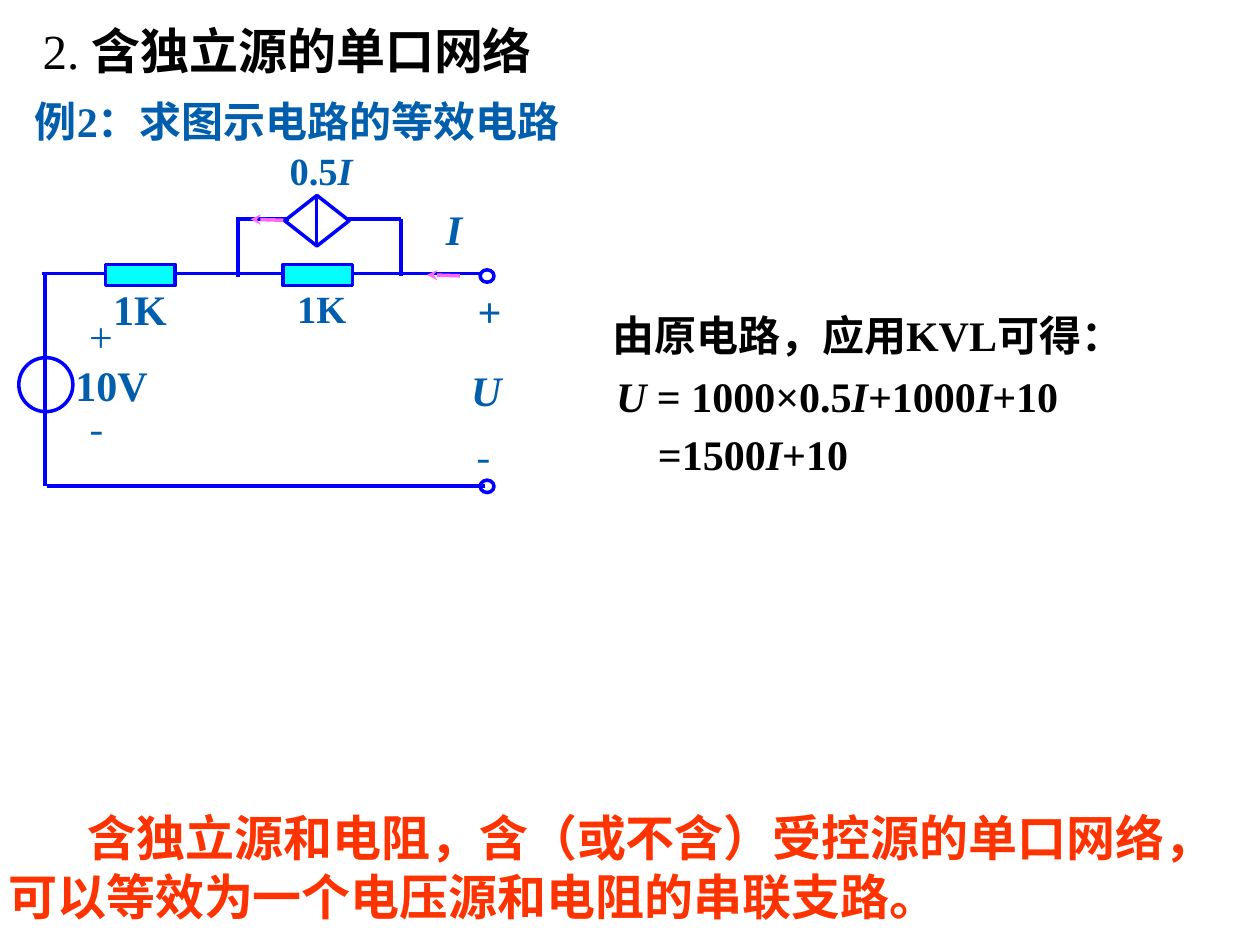
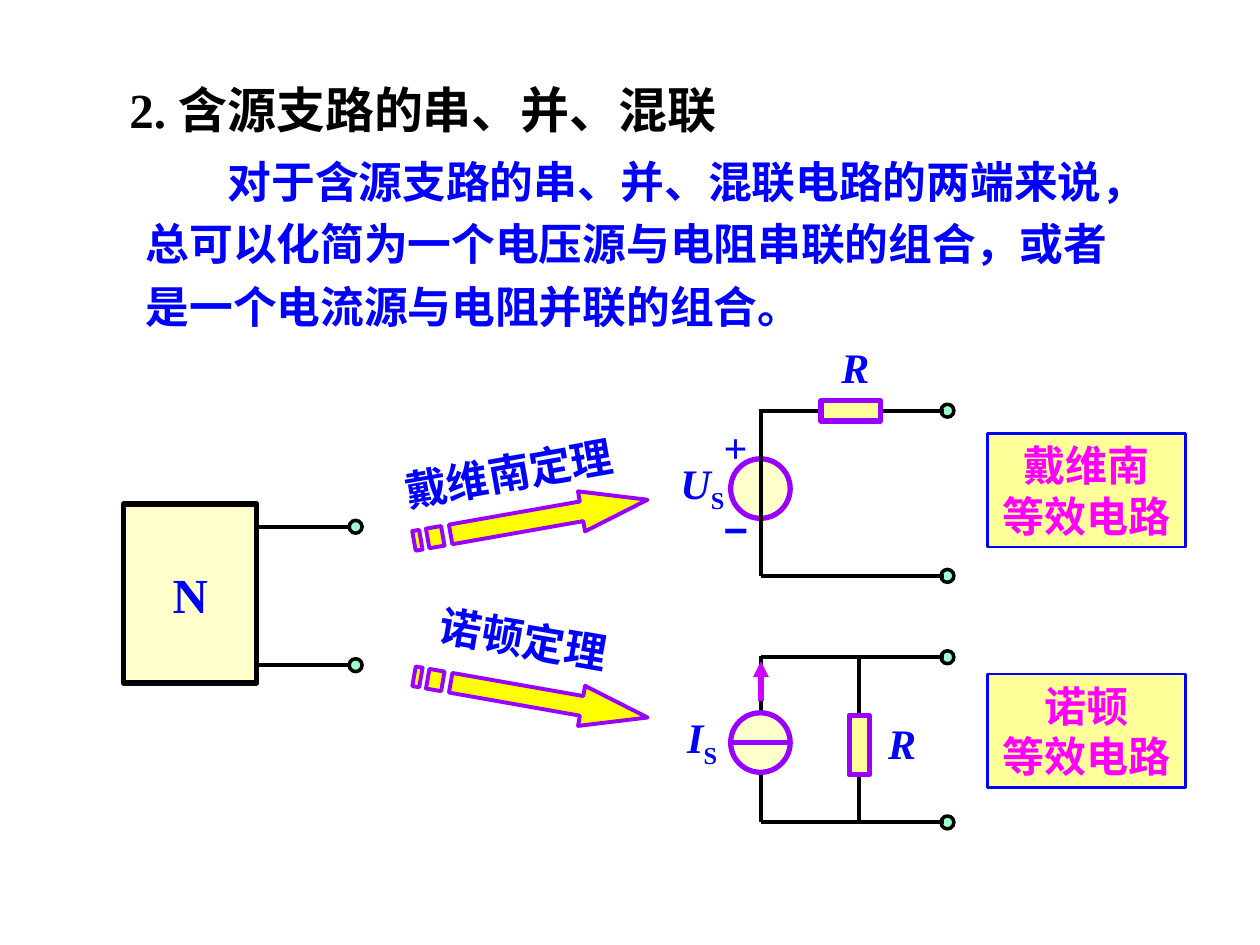
import dataclasses
import typing

import pptx
import pptx.dml.color
import pptx.enum.shapes
import pptx.enum.text
import pptx.oxml
import pptx.oxml.ns
import pptx.util

Cm = pptx.util.Cm
Pt = pptx.util.Pt
Shape = pptx.enum.shapes.MSO_SHAPE
Align = pptx.enum.text.PP_ALIGN
Anchor = pptx.enum.text.MSO_ANCHOR

BLACK, BLUE, TEAL, RED = "000000", "0000FF", "005EAC", "FF3300"
PURPLE, MAGENTA, PINK, VIOLET = "9900FF", "FF00FF", "FF66FF", "CC00FF"
CYAN, CREAM, LEMON, YELLOW, MINT = "00FFFF", "FFFFCC", "FFFF99", "FFFF00", "99FFCC"

LATIN, CHINESE = "Times New Roman", "Noto Sans CJK SC"
BASE = {"size": 24, "bold": True, "italic": False, "name": LATIN}
ITALIC = {"italic": True}
PLAIN = {"bold": False}
SUBSCRIPT = {"baseline": -25000}
WIDE_INSET, TIGHT_INSET = (0.25, 0.13), (0.05, 0.1)


@dataclasses.dataclass
class Region:
    """Origin, in centimetres, of a part of a slide."""

    shapes: typing.Any
    left: float
    top: float

    def point(self, x, y):
        """Return the slide position of a point of the region."""
        return Cm(self.left + x), Cm(self.top + y)


def rgb(code):
    """Turn a hex string into a colour."""
    return pptx.dml.color.RGBColor.from_string(code)


def add_xml(parent, tag, **attributes):
    """Append an empty DrawingML element."""
    child = pptx.oxml.parse_xml(f"<a:{tag} {pptx.oxml.ns.nsdecls('a')}/>")
    for key, value in attributes.items():
        child.set(key, value)
    parent.append(child)


def write(frame, paragraphs, color, align=Align.LEFT, wrap=True, inset=WIDE_INSET,
          anchor=Anchor.TOP, spacing=None, indent=0, **style):
    """Fill a text frame with paragraphs made of (text, overrides) runs."""
    across, down = (Cm(length) for length in inset)
    layout = {"word_wrap": wrap, "auto_size": pptx.enum.text.MSO_AUTO_SIZE.NONE,
              "vertical_anchor": anchor, "margin_left": across, "margin_right": across,
              "margin_top": down, "margin_bottom": down}
    for key, value in layout.items():
        setattr(frame, key, value)
    for index, runs in enumerate(paragraphs):
        paragraph = frame.add_paragraph() if index else frame.paragraphs[0]
        paragraph.alignment = align
        if spacing:
            paragraph.line_spacing = spacing
        if indent and not index:
            paragraph._p.get_or_add_pPr().set("indent", str(Cm(indent)))
        for words, changes in runs:
            run = paragraph.add_run()
            run.text = words
            looks = {**BASE, **style, **changes}
            baseline = looks.pop("baseline", None)
            looks["size"] = Pt(looks["size"])
            for key, value in looks.items():
                setattr(run.font, key, value)
            run.font.color.rgb = rgb(color)
            properties = run._r.get_or_add_rPr()
            add_xml(properties, "ea", typeface=CHINESE)
            if baseline:
                properties.set("baseline", str(baseline))


def text(region, x, y, width, height, paragraphs, color, rotation=0, **style):
    """Place a text box in a region."""
    box = region.shapes.add_textbox(*region.point(x, y), Cm(width), Cm(height))
    box.rotation = rotation
    write(box.text_frame, paragraphs, color, **style)


def paint(shape, fill, color, weight):
    """Give a shape its fill and outline."""
    shape.shadow.inherit = False
    if fill:
        shape.fill.solid()
        shape.fill.fore_color.rgb = rgb(fill)
    else:
        shape.fill.background()
    shape.line.color.rgb = rgb(color)
    shape.line.width = Pt(weight)
    return shape


def part(region, kind, x, y, width, height, fill, color, weight):
    """Place a preset shape in a region."""
    shape = region.shapes.add_shape(kind, *region.point(x, y), Cm(width), Cm(height))
    return paint(shape, fill, color, weight)


def wire(region, x1, y1, x2, y2, color=BLACK, weight=2.25, head=None):
    """Draw a straight wire, or an arrow when a head is named."""
    line = region.shapes.add_connector(pptx.enum.shapes.MSO_CONNECTOR.STRAIGHT,
                                       *region.point(x1, y1), *region.point(x2, y2))
    line.line.color.rgb = rgb(color)
    line.line.width = Pt(weight)
    if head:
        add_xml(line.line._get_or_add_ln(), "tailEnd", type=head)
    add_xml(line._element.spPr, "effectLst")


def terminal(region, x, y):
    """Draw an open terminal centred on the height of its wire."""
    part(region, Shape.OVAL, x, y - 0.13, 0.26, 0.26, MINT, BLACK, 2)


def set_title(slide, left, top, width, runs):
    """Move the title placeholder and write the heading in it."""
    title = slide.shapes.title
    place = {"left": left, "top": top, "width": width, "height": 1.45}
    for key, value in place.items():
        setattr(title, key, Cm(value))
    write(title.text_frame, [runs], BLACK, size=28)


def dependent_source_circuit(region):
    """Draw the one-port with a 10V source and a 0.5I controlled source."""
    top, bottom, branch = 2.64, 6.93, 1.55
    wires = [(0.46, top, 9.3, top), (0.56, bottom, 9.4, bottom), (0.53, top, 0.53, bottom),
             (4.42, branch, 4.42, 2.72), (5.44, branch, 4.37, branch),
             (7.7, branch, 6.63, branch), (6, 1.07, 6, 2.08), (7.7, branch, 7.7, 2.69)]
    for ends in wires:
        wire(region, *ends, BLUE, 2)
    for x in (1.75, 5.33):
        part(region, Shape.RECTANGLE, x, 2.46, 1.4, 0.43, CYAN, BLUE, 2)
    for y in (2.57, 6.81):
        part(region, Shape.OVAL, 9.3, y, 0.28, 0.25, None, BLUE, 2)
    part(region, Shape.OVAL, 0, 4.34, 1.09, 1.09, None, BLUE, 2)
    part(region, Shape.FLOWCHART_DECISION, 5.36, 1.07, 1.3, 1.02, None, BLUE, 2)
    for x, y in ((4.67, branch), (8.23, 2.67)):
        wire(region, x + 0.66, y + 0.02, x, y, PINK, 2, "stealth")
    minus = {"name": CHINESE, "bold": False}
    labels = [(5.41, 0, [("0.5", {"size": 22}), ("I", {"size": 22, **ITALIC})]),
              (1.85, 2.75, [("1K", {})]), (5.56, 2.77, [("1K", {"size": 22})]),
              (9.2, 2.79, [("+", {})]), (9.07, 4.37, [("U", ITALIC)]),
              (9.17, 5.72, [("-", minus)]), (1.37, 5.16, [("-", minus)]),
              (1.09, 4.27, [("10V", {})]), (1.37, 3.3, [("+", PLAIN)]),
              (8.56, 1.14, [("I", ITALIC)])]
    for x, y, runs in labels:
        text(region, x, y, 1.75, 1.2, [runs], TEAL, wrap=False, inset=TIGHT_INSET)


def kvl_derivation(region):
    """Write the KVL equation and its simplified form."""
    current = ("I", ITALIC)
    text(region, 0, 0, 11.2, 1.27, [[("由原电路，应用KVL可得：", {})]], BLACK,
         wrap=False, align=Align.CENTER)
    text(region, 0.28, 1.24, 10.16, 1.27,
         [[("U ", ITALIC), ("= 1000×0.5", {}), current, ("+1000", {}), current, ("+10", {})]],
         BLACK)
    text(region, 1.12, 2.41, 4.34, 1.27, [[("=1500", {}), current, ("+10", {})]], BLACK,
         wrap=False, align=Align.CENTER)


def example_slide(slide):
    """Build the worked example of a one-port with an independent source."""
    set_title(slide, 0.61, 0.28, 11.05, [("2. ", PLAIN), ("含独立源的单口网络", {})])
    page = Region(slide.shapes, 0, 0)
    text(page, -0.1, 1.8, 12.19, 1.27, [[("例2：求图示电路的等效电路", {})]], TEAL,
         align=Align.CENTER)
    dependent_source_circuit(Region(slide.shapes, 0.38, 2.87))
    kvl_derivation(Region(slide.shapes, 11.89, 6.1))
    conclusion = "含独立源和电阻，含（或不含）受控源的单口网络，可以等效为一个电压源和电阻的串联支路。"
    text(page, -0.08, 16.15, 25.68, 2.64, [[(conclusion, {})]], RED, size=28, indent=1.6)


def one_port(region):
    """Draw the block N with its two terminals."""
    block = part(region, Shape.RECTANGLE, 0, 0, 2.69, 3.61, CREAM, BLACK, 3)
    write(block.text_frame, [[("N", {})]], BLUE, size=28, align=Align.CENTER,
          anchor=Anchor.MIDDLE)
    for y in (0.46, 3.25):
        wire(region, 2.72, y, 4.6, y)
        terminal(region, 4.55, y)


def theorem_arrow(region, rotation):
    """Draw a tilted striped arrow that ends in a long head."""
    middle, half = 0.41, 0.2
    low, high = middle - half, middle + half
    contours = [[(x1, low), (x2, low), (x2, high), (x1, high)]
                for x1, x2 in ((0, 0.14), (0.28, 0.59))]
    contours.append([(0.75, low), (3.43, low), (3.43, 0), (4.78, middle),
                     (3.43, 2 * middle), (3.43, high), (0.75, high)])
    builder = None
    for contour in contours:
        start, *rest = [(Cm(x), Cm(y)) for x, y in contour]
        if builder:
            builder.move_to(*start)
        else:
            builder = region.shapes.build_freeform(*start)
        builder.add_line_segments(rest, close=True)
    arrow = builder.convert_to_shape(*region.point(0, 0))
    paint(arrow, YELLOW, PURPLE, 2.25).rotation = rotation


def source_loop(region):
    """Draw the wires and terminals that both equivalent circuits share."""
    for y in (0, 3.33):
        terminal(region, 5.51, y)
        wire(region, 1.88, y, 5.57, y)
    wire(region, 1.88, -0.03, 1.88, 3.33)


def symbol(region, x, y, width, *runs):
    """Write a centred circuit symbol."""
    text(region, x, y, width, 1.27, [runs], BLUE, wrap=False, align=Align.CENTER)


def thevenin_circuit(region):
    """Draw a voltage source in series with a resistor."""
    part(region, Shape.OVAL, 1.27, 0.97, 1.2, 1.2, CREAM, PURPLE, 3)
    source_loop(region)
    part(region, Shape.RECTANGLE, 3.09, -0.2, 1.2, 0.41, LEMON, PURPLE, 3)
    symbol(region, 3.25, -1.52, 1.07, ("R", ITALIC))
    symbol(region, 0, 0.81, 1.4, ("U", ITALIC), ("S", SUBSCRIPT))
    for y, sign, font in ((0.08, "+", LATIN), (1.75, "−", "Arial")):
        text(region, 0.88, y, 1.47, 1.2, [[(sign, {"name": font})]], BLUE)


def norton_circuit(region):
    """Draw a current source in parallel with a resistor."""
    source_loop(region)
    wire(region, 3.86, -0.05, 3.86, 3.33)
    part(region, Shape.RECTANGLE, 3.66, 1.17, 0.41, 1.2, LEMON, PURPLE, 3)
    part(region, Shape.OVAL, 1.27, 1.12, 1.2, 1.2, CREAM, PURPLE, 3)
    wire(region, 1.27, 1.72, 2.49, 1.72, PURPLE, 3)
    wire(region, 1.88, 0.89, 1.88, 0.08, VIOLET, 3, "triangle")
    symbol(region, 4.19, 1.09, 1.07, ("R", ITALIC))
    symbol(region, 0.15, 0.97, 1.09, ("I", ITALIC), ("S", SUBSCRIPT))


def equivalent_card(region, theorem):
    """Name an equivalent circuit in a framed card."""
    card = part(region, Shape.RECTANGLE, 0, 0, 3.99, 2.29, LEMON, BLUE, 1.5)
    write(card.text_frame, [[(theorem, {})], [("等效电路", {})]], MAGENTA,
          align=Align.CENTER, anchor=Anchor.MIDDLE)


def equivalents_slide(slide):
    """Build the overview of the Thevenin and Norton equivalents."""
    set_title(slide, 2.36, 1.47, 13.54, [("2. 含源支路的串、并、混联", {})])
    page = Region(slide.shapes, 0, 0)
    summary = ["对于含源支路的串、并、混联电路的两端来说，",
               "总可以化简为一个电压源与电阻串联的组合，或者",
               "是一个电流源与电阻并联的组合。"]
    text(page, 2.69, 2.77, 21.31, 4.06, [[(row, {})] for row in summary], BLUE,
         size=25, spacing=1.2, indent=1.65)
    one_port(Region(slide.shapes, 2.49, 10.16))
    rows = [("戴维南", thevenin_circuit, 8.28, 8.74, 10.08, -10, (7.9, 8.89, 4.72)),
            ("诺顿", norton_circuit, 13.25, 13.59, 13.64, 10, (8.61, 12.24, 3.89))]
    for theorem, circuit, circuit_top, card_top, arrow_top, tilt, caption in rows:
        circuit(Region(slide.shapes, 13.46, circuit_top))
        equivalent_card(Region(slide.shapes, 19.91, card_top), theorem)
        theorem_arrow(Region(slide.shapes, 8.31, arrow_top), tilt)
        text(page, *caption, 1.27, [[(theorem + "定理", {})]], BLUE, rotation=tilt,
             wrap=False, align=Align.CENTER)


def main():
    """Build and save the presentation."""
    deck = pptx.Presentation()
    deck.slide_width, deck.slide_height = Cm(25.4), Cm(19.05)
    for build in (example_slide, equivalents_slide):
        build(deck.slides.add_slide(deck.slide_layouts[5]))
    deck.save("out.pptx")


if __name__ == "__main__":
    main()
